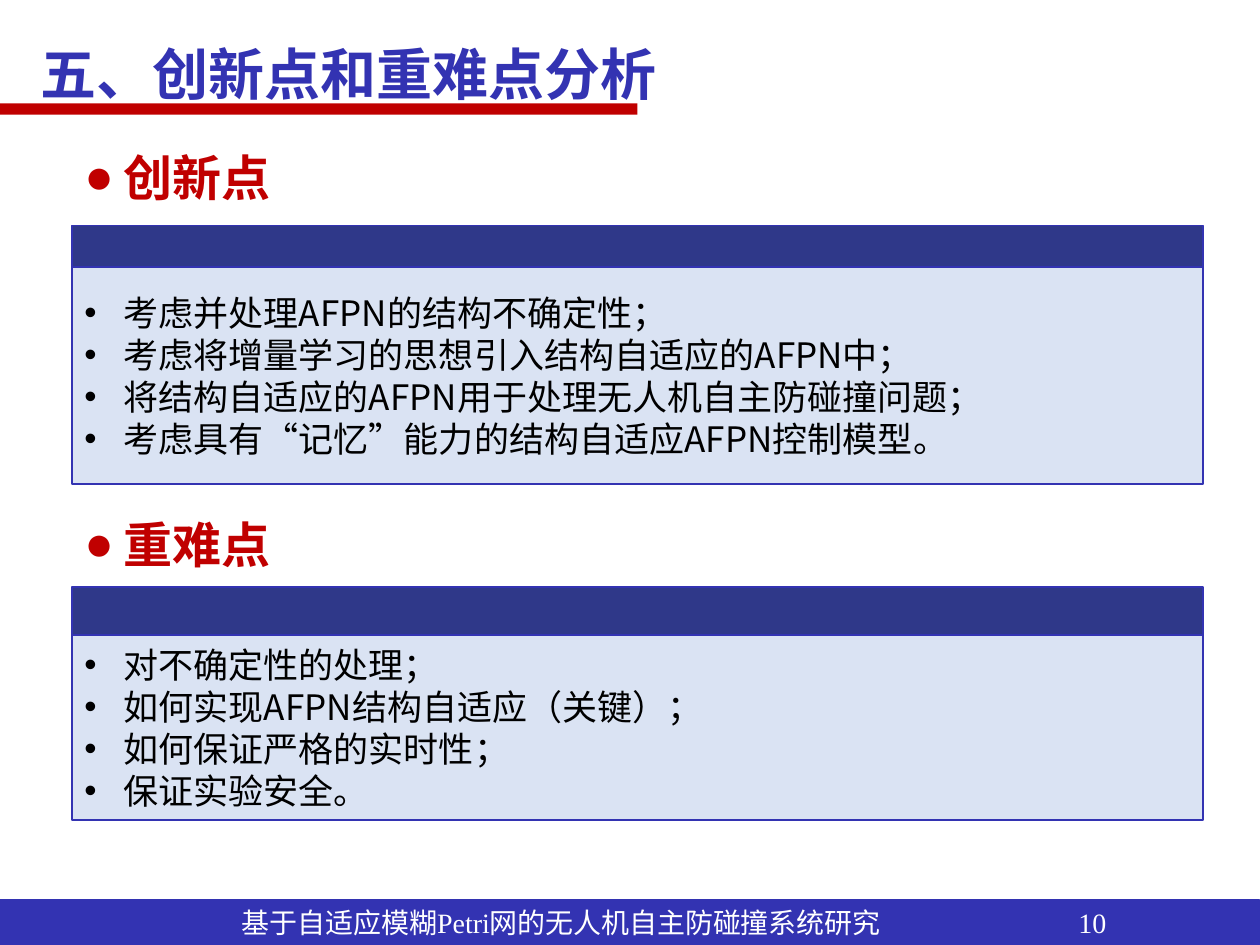
import pptx
import pptx.util
import pptx.dml.color
import pptx.enum.shapes
import pptx.enum.text
import pptx.oxml
import pptx.oxml.ns

SCALE = 9144
SANS = "Noto Sans CJK SC"
SERIF = "Times New Roman"
NAVY, BLUE, PALE = "2F3889", "3333B2", "DAE3F3"
RED, BLACK, WHITE = "C00000", "000000", "FFFFFF"
NS = pptx.oxml.ns.nsdecls("a")
TOP = pptx.enum.text.MSO_ANCHOR.TOP
MID = pptx.enum.text.MSO_ANCHOR.MIDDLE


def px(num):
    return pptx.util.Emu(num * SCALE)


def color(code):
    return pptx.dml.color.RGBColor.from_string(code)


def add_xml(node, text):
    node.append(pptx.oxml.parse_xml(text))


def place(shape, box):
    for name, num in zip(("left", "top", "width", "height"), box):
        setattr(shape, name, px(num))


def paint(shape, fill, line=None):
    shape.fill.solid()
    shape.fill.fore_color.rgb = color(fill)
    if line:
        shape.line.color.rgb = color(line)
        shape.line.width = pptx.util.Pt(1)
    else:
        shape.line.fill.background()


def add_rect(slide, box, fill, line=None):
    kind = pptx.enum.shapes.MSO_SHAPE.RECTANGLE
    shape = slide.shapes.add_shape(kind, *map(px, box))
    shape.shadow.inherit = False
    paint(shape, fill, line)
    return shape


def write(shape, lines, size, ink, face=SANS, bold=False, anchor=TOP,
          space=1.0, mark=None, tabs=()):
    frame = shape.text_frame
    frame.text = "\n".join(lines)
    setup = {"word_wrap": True, "vertical_anchor": anchor,
             "auto_size": pptx.enum.text.MSO_AUTO_SIZE.NONE,
             "margin_left": px(10), "margin_right": px(10),
             "margin_top": px(5), "margin_bottom": px(5)}
    for name, value in setup.items():
        setattr(frame, name, value)
    layout = {"alignment": pptx.enum.text.PP_ALIGN.LEFT, "line_spacing": space,
              "space_before": pptx.util.Pt(0), "space_after": pptx.util.Pt(0)}
    style = {"size": pptx.util.Pt(size), "name": face, "bold": bold}
    for para in frame.paragraphs:
        for name, value in layout.items():
            setattr(para, name, value)
        props = para._p.get_or_add_pPr()
        if mark:
            props.set("marL", str(px(31)))
            props.set("indent", str(-px(31)))
            add_xml(props, f'<a:buClr {NS}><a:srgbClr val="{ink}"/></a:buClr>')
            add_xml(props, f'<a:buFont {NS} typeface="Arial"/>')
            add_xml(props, f'<a:buChar {NS} char="{mark}"/>')
        if tabs:
            stops = "".join(f'<a:tab pos="{px(tab)}" algn="l"/>' for tab in tabs)
            add_xml(props, f"<a:tabLst {NS}>{stops}</a:tabLst>")
        for run in para.runs:
            for name, value in style.items():
                setattr(run.font, name, value)
            run.font.color.rgb = color(ink)
            add_xml(run._r.get_or_add_rPr(), f'<a:ea {NS} typeface="{SANS}"/>')


def add_title(slide, box, text):
    left, top, width, height = box
    bar = add_rect(slide, (0, top + 82, 506, 9), RED)
    title = slide.shapes.title
    place(title, box)
    write(title, [text], 32, BLUE, bold=True, space=1.5)
    bar._element.addnext(title._element)


def add_panel(slide, box, slot, head, lines, band, body):
    left, top, width, height = box
    label, panel = slide.placeholders[slot], slide.placeholders[slot + 1]
    place(label, (left, top, 964, 57))
    write(label, [head], 28, RED, bold=True, mark="●")
    back = add_rect(slide, (left, top + band, width, 100), NAVY, BLUE)
    place(panel, (left, top + body, width, height - body))
    paint(panel, PALE, BLUE)
    write(panel, lines, 20, BLACK, anchor=MID, mark="•")
    back._element.addnext(panel._element)


def add_foot(slide, box, text, page):
    bar = add_rect(slide, box, BLUE, BLUE)
    write(bar, [f"\t{text}\t{page}"], 16, WHITE, face=SERIF, anchor=MID,
          tabs=(183, 847))


def main():
    deck = pptx.Presentation()
    deck.slide_width, deck.slide_height = px(1000), px(750)
    slide = deck.slides.add_slide(deck.slide_layouts.get_by_name("Comparison"))
    add_title(slide, (22, 0, 619, 90), "五、创新点和重难点分析")
    add_panel(slide, (57, 112, 898, 272), 1, "创新点", [
        "考虑并处理AFPN的结构不确定性；",
        "考虑将增量学习的思想引入结构自适应的AFPN中；",
        "将结构自适应的AFPN用于处理无人机自主防碰撞问题；",
        "考虑具有“记忆”能力的结构自适应AFPN控制模型。",
    ], 67, 100)
    add_panel(slide, (57, 403, 898, 248), 3, "重难点", [
        "对不确定性的处理；",
        "如何实现AFPN结构自适应（关键）；",
        "如何保证严格的实时性；",
        "保证实验安全。",
    ], 63, 101)
    add_foot(slide, (-1, 714, 1000, 36),
             "基于自适应模糊Petri网的无人机自主防碰撞系统研究", "10")
    deck.save("out.pptx")


if __name__ == "__main__":
    main()
